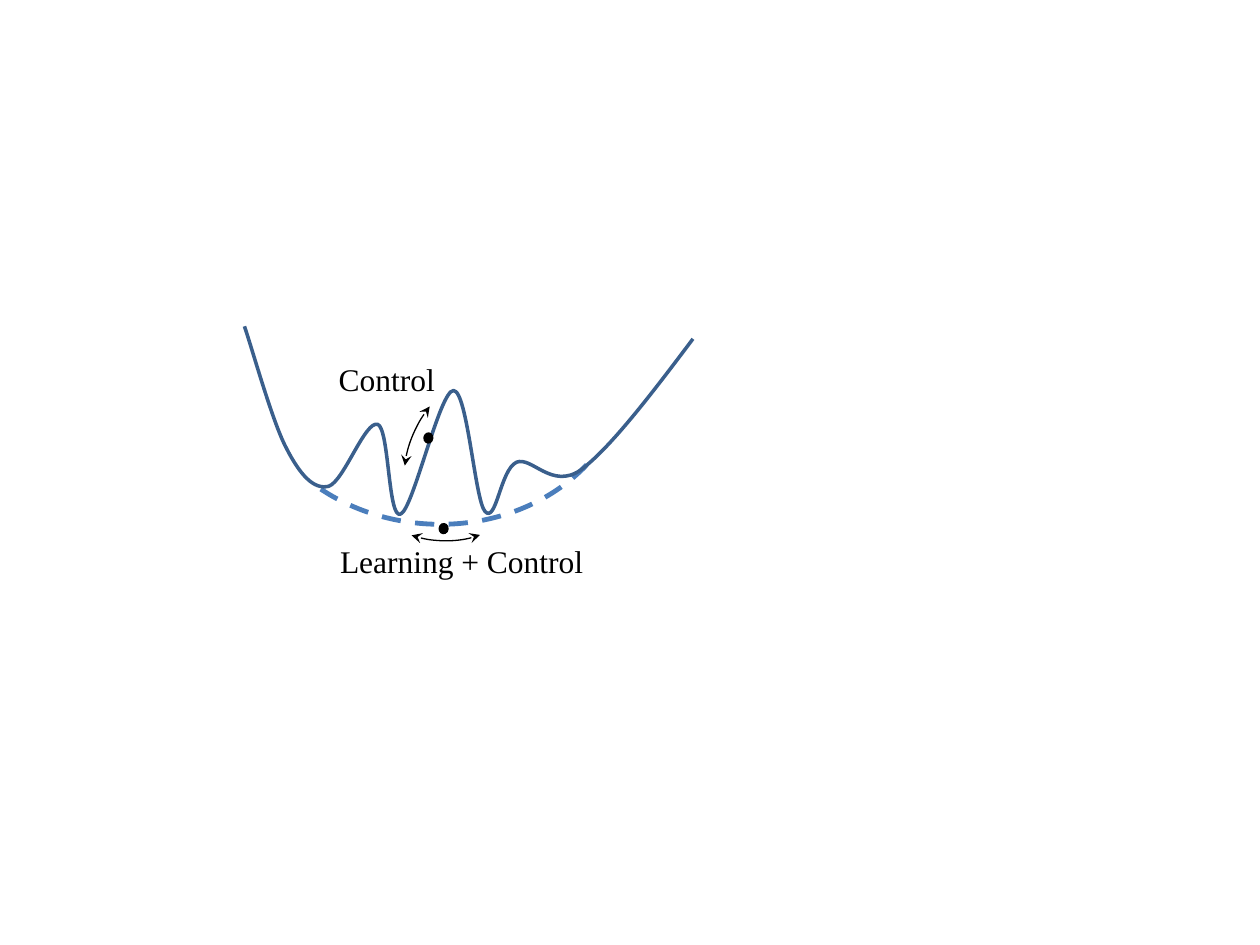
import lxml.etree
import pptx
import pptx.dml.color
import pptx.enum.dml
import pptx.enum.shapes
import pptx.enum.text
import pptx.oxml.ns
import pptx.util

Pt = pptx.util.Pt
qn = pptx.oxml.ns.qn
SHAPE = pptx.enum.shapes.MSO_SHAPE

# Content, in points
COLORS = {"curve": "3A5F8C", "envelope": "4B7EBC", "ink": "000000"}
FONT = "Times New Roman"
TILT = 184.6
ARC_RANGE = (126.74, 185.54)
LABELS = [  # text, left, top, width, height
    ("Learning + Control", 187.2, 306, 154.8, 28.8),
    ("Control", 186.5, 202.3, 69.8, 28.8),
]
ENVELOPE = (138.2, 107.3, 221.8, 192.2)
MOTION_ARCS = [  # box, rotation
    ((215.3, 269.3, 72, 39.6), TILT),
    ((218.2, 234, 72, 36), 297.2),
]
DOT_SIZE = (5.8, 6.5)
DOTS = [(241.9, 247), (250.6, 298.8)]
CURVE_START = (396, 193.7)
CURVE = [  # two control points and an end point per segment
    ((372.2, 225.4), (348.5, 256.3), (331.9, 268.6)),
    ((315.4, 280.1), (303.8, 260.6), (295.2, 264.2)),
    ((285.8, 268.6), (283.7, 299.5), (277.2, 292.3)),
    ((271.4, 285.8), (267.1, 223.2), (259.2, 223.2)),
    ((251.3, 223.2), (236.2, 290.9), (229, 293.8)),
    ((221.8, 297.4), (222.5, 245.5), (216, 242.6)),
    ((208.8, 239.8), (196.6, 275), (187.9, 277.9)),
    ((179.3, 280.1), (171.4, 271.4), (163.4, 255.6)),
    ((155.5, 240.5), (144, 198.7), (139.7, 186.5)),
]

prs = pptx.Presentation()
prs.slide_width, prs.slide_height = Pt(720), Pt(540)
s = prs.slides.add_slide(prs.slide_layouts[6])


def rgb(name):
    return pptx.dml.color.RGBColor.from_string(COLORS[name])


def add_text(text, box, size=18, color="ink", font=FONT):
    sp = s.shapes.add_textbox(*map(Pt, box))
    tf = sp.text_frame
    tf.word_wrap = False
    tf.auto_size = pptx.enum.text.MSO_AUTO_SIZE.SHAPE_TO_FIT_TEXT
    r = tf.paragraphs[0].add_run()
    r.text = text
    r.font.size, r.font.name = Pt(size), font
    r.font.color.rgb = rgb(color)


def outline(sp, color, width):
    sp.shadow.inherit = False
    sp.fill.background()
    sp.line.color.rgb = rgb(color)
    sp.line.width = Pt(width)


def add_arc(box, rotation, color, width):
    sp = s.shapes.add_shape(SHAPE.ARC, *map(Pt, box))
    sp.rotation = rotation
    sp.adjustments[0], sp.adjustments[1] = ARC_RANGE
    outline(sp, color, width)
    return sp


def add_curve(start, segments, color, width):
    def to_emu(point):
        return tuple(map(Pt, point))

    builder = s.shapes.build_freeform(*to_emu(start), scale=1.0)
    builder.add_line_segments(
        [to_emu(point) for seg in segments for point in seg], close=False)
    sp = builder.convert_to_shape()
    # Merge each three straight steps into one cubic segment
    lines = list(sp.element.iter(qn("a:lnTo")))
    for i in range(0, len(lines), 3):
        bezier = lxml.etree.Element(qn("a:cubicBezTo"))
        lines[i].addprevious(bezier)
        for line in lines[i:i + 3]:
            bezier.append(line[0])
            line.getparent().remove(line)
    outline(sp, color, width)


# Labels
for text, *box in LABELS:
    add_text(text, box)

# Dashed envelope and rugged curve
envelope = add_arc(ENVELOPE, TILT, "envelope", 2.75)
envelope.line.dash_style = pptx.enum.dml.MSO_LINE.DASH
add_curve(CURVE_START, CURVE, "curve", 2)

# Motion arcs with arrowheads at both ends
for box, rotation in MOTION_ARCS:
    sp = add_arc(box, rotation, "ink", 0.75)
    ln = sp.element.spPr.find(qn("a:ln"))
    for tag in ("a:headEnd", "a:tailEnd"):
        lxml.etree.SubElement(ln, qn(tag), type="stealth")

# State dots
for left, top in DOTS:
    sp = s.shapes.add_shape(SHAPE.OVAL, *map(Pt, (left, top, *DOT_SIZE)))
    sp.rotation = TILT
    sp.shadow.inherit = False
    sp.fill.solid()
    sp.fill.fore_color.rgb = rgb("ink")
    sp.line.fill.background()

prs.save("out.pptx")
